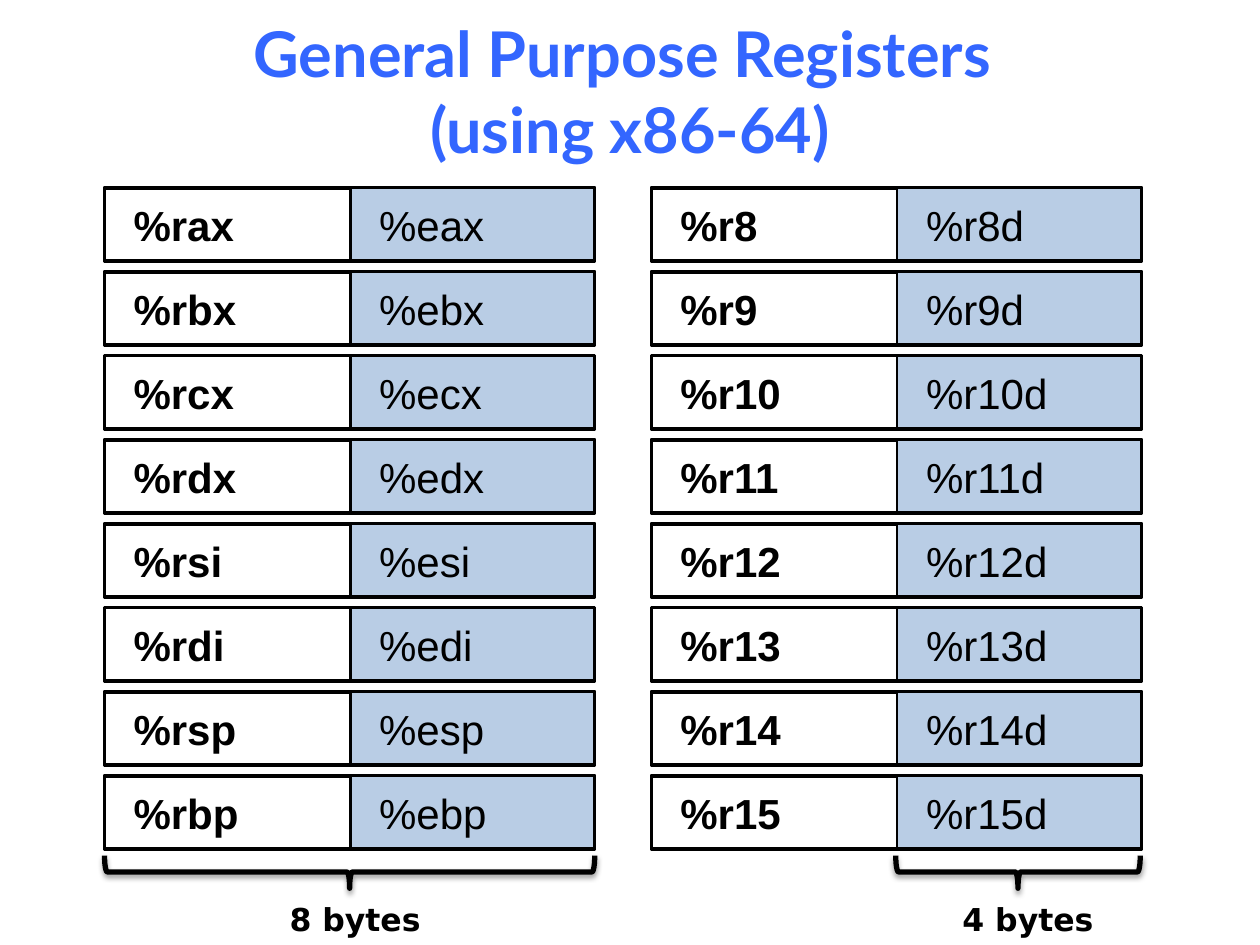
from lxml import etree
from pptx import Presentation
from pptx.dml.color import RGBColor
from pptx.enum.shapes import MSO_SHAPE
from pptx.enum.text import MSO_ANCHOR, MSO_AUTO_SIZE, PP_ALIGN
from pptx.oxml import parse_xml
from pptx.oxml.ns import nsdecls
from pptx.util import Inches, Pt

RECTANGLE = MSO_SHAPE.RECTANGLE
LEFT_BRACE = MSO_SHAPE.LEFT_BRACE
MIDDLE = MSO_ANCHOR.MIDDLE
LEFT, CENTER = PP_ALIGN.LEFT, PP_ALIGN.CENTER
FIT_SHAPE = MSO_AUTO_SIZE.SHAPE_TO_FIT_TEXT

BLACK, TITLE_BLUE, PALE_BLUE = "000000", "3366FF", "B9CDE5"
TOP, ROW_STEP, ROW_HEIGHT = 1.49, 2 / 3, 0.58
FULL_WIDTH, HALF_WIDTH = 3.89, 1.94
BRACE_DEPTH, BRACE_TOP = 0.26, 6.79

REGISTER_COLUMNS = [
    (0.83, [("%rax", "%eax"), ("%rbx", "%ebx"), ("%rcx", "%ecx"), ("%rdx", "%edx"),
            ("%rsi", "%esi"), ("%rdi", "%edi"), ("%rsp", "%esp"), ("%rbp", "%ebp")]),
    (5.17, [(f"%r{number}", f"%r{number}d") for number in range(8, 16)]),
]


def rgb(color):
    """Turn a hex string into a colour."""
    return RGBColor.from_string(color)


def write_text(shape, text, *, size, font, color=BLACK, bold=False, align=LEFT):
    """Write one formatted paragraph into a shape."""
    paragraph = shape.text_frame.paragraphs[0]
    paragraph.text = text
    paragraph.alignment = align
    paragraph.font.size = Pt(size)
    paragraph.font.name = font
    paragraph.font.bold = bold
    paragraph.font.color.rgb = rgb(color)


def add_title(slide, text):
    """Add the centred slide title."""
    shape = slide.shapes.add_textbox(Inches(0.5), Inches(0.09), Inches(9), Inches(1.25))
    shape.text_frame.word_wrap = True
    shape.text_frame.vertical_anchor = MIDDLE
    write_text(shape, text, size=36, font="Lato", color=TITLE_BLUE, bold=True, align=CENTER)


def add_register(slide, name, left, top, width, *, line_width, fill=None, bold=False):
    """Add a register box with its indented name."""
    shape = slide.shapes.add_shape(
        RECTANGLE, Inches(left), Inches(top), Inches(width), Inches(ROW_HEIGHT))
    shape.shadow.inherit = False
    if fill:
        shape.fill.solid()
        shape.fill.fore_color.rgb = rgb(fill)
    else:
        shape.fill.background()
    shape.line.color.rgb = rgb(BLACK)
    shape.line.width = Pt(line_width)
    frame = shape.text_frame
    frame.vertical_anchor = MIDDLE
    frame.margin_left = Inches(0.23)
    frame.margin_top = frame.margin_right = frame.margin_bottom = Inches(0.04)
    write_text(shape, name, size=24, font="Arial", bold=bold)


def add_shadow(shape):
    """Give a shape a soft shadow below it."""
    shape.shadow.inherit = False
    effects = shape.shadow._element.effectLst
    shadow = parse_xml(
        f'<a:outerShdw {nsdecls("a")} blurRad="40000" dist="20000" dir="5400000" '
        'rotWithShape="0"/>')
    color = etree.SubElement(shadow, shadow.tag.replace("outerShdw", "srgbClr"), val=BLACK)
    etree.SubElement(color, shadow.tag.replace("outerShdw", "alpha"), val="38000")
    effects.append(shadow)


def add_brace(slide, left, width):
    """Add a brace that spans a width and points down."""
    center_x, center_y = left + width / 2, BRACE_TOP + BRACE_DEPTH / 2
    shape = slide.shapes.add_shape(
        LEFT_BRACE, Inches(center_x - BRACE_DEPTH / 2), Inches(center_y - width / 2),
        Inches(BRACE_DEPTH), Inches(width))
    shape.rotation = 270
    shape.fill.background()
    shape.line.color.rgb = rgb(BLACK)
    shape.line.width = Pt(3)
    add_shadow(shape)


def add_size_label(slide, text, left):
    """Add the byte count under a brace."""
    shape = slide.shapes.add_textbox(Inches(left), Inches(7.09), Inches(1.24), Inches(0.4))
    shape.text_frame.word_wrap = False
    shape.text_frame.auto_size = FIT_SHAPE
    write_text(shape, text, size=18, font="DejaVu Sans", bold=True)


def main():
    """Build and save the register slide."""
    presentation = Presentation()
    presentation.slide_width, presentation.slide_height = Inches(10), Inches(7.5)
    slide = presentation.slides.add_slide(presentation.slide_layouts[6])

    add_title(slide, "General Purpose Registers \v(using x86-64)")
    for left, registers in REGISTER_COLUMNS:
        for row, (full_name, half_name) in enumerate(registers):
            top = TOP + row * ROW_STEP
            add_register(slide, full_name, left, top, FULL_WIDTH, line_width=2, bold=True)
            add_register(slide, half_name, left + FULL_WIDTH - HALF_WIDTH, top, HALF_WIDTH,
                         line_width=1.5, fill=PALE_BLUE)

    add_brace(slide, 0.83, FULL_WIDTH)
    add_size_label(slide, "8 bytes", 2.2)
    add_brace(slide, 7.11, HALF_WIDTH)
    add_size_label(slide, "4 bytes", 7.54)
    presentation.save("out.pptx")


if __name__ == "__main__":
    main()
